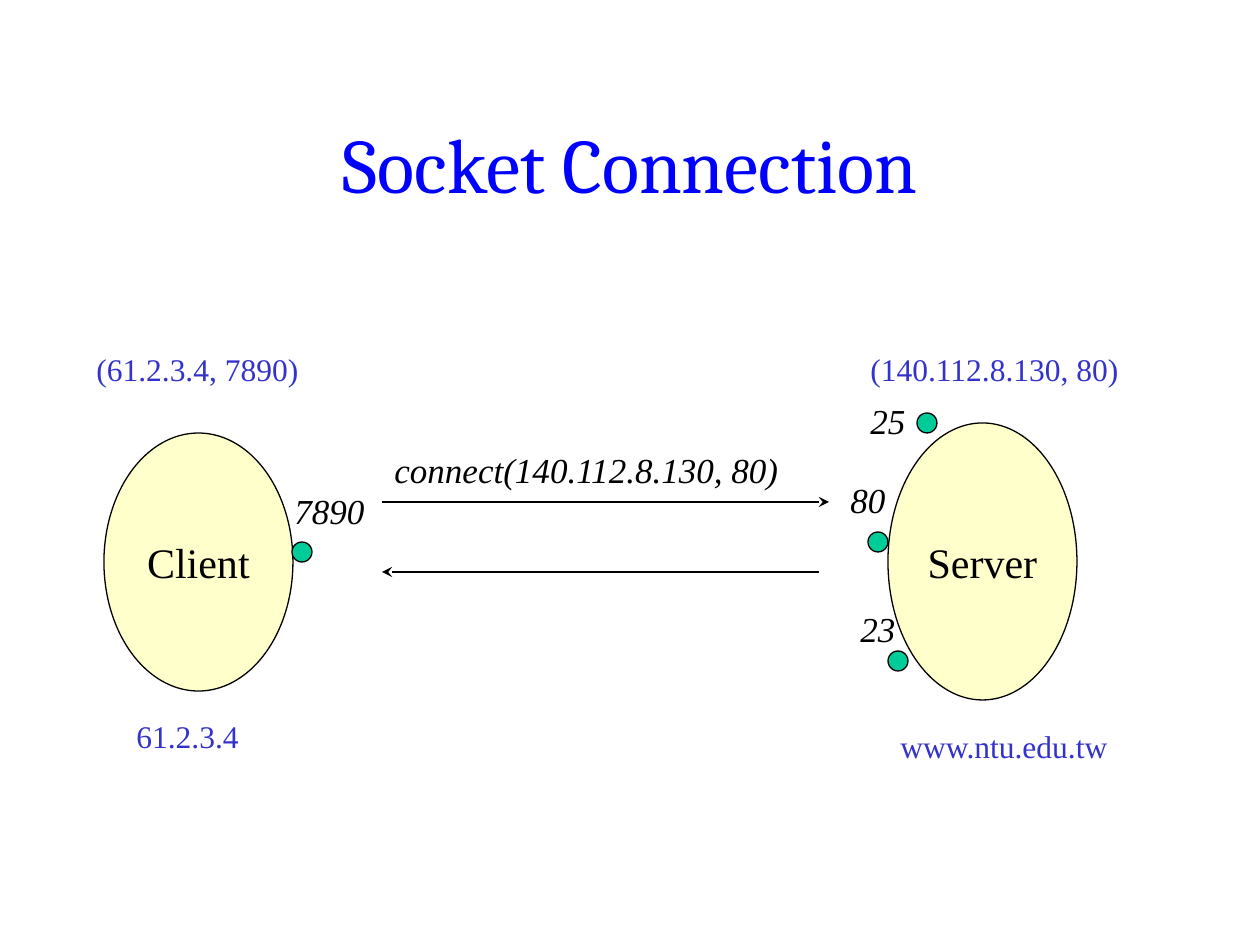
from lxml import etree
from pptx import Presentation
from pptx.dml.color import RGBColor
from pptx.enum.shapes import MSO_CONNECTOR, MSO_SHAPE
from pptx.enum.text import MSO_ANCHOR, PP_ALIGN
from pptx.oxml.ns import qn
from pptx.util import Pt

OVAL = MSO_SHAPE.OVAL
STRAIGHT = MSO_CONNECTOR.STRAIGHT
MIDDLE = MSO_ANCHOR.MIDDLE
TOP = MSO_ANCHOR.TOP
CENTER = PP_ALIGN.CENTER
LEFT = PP_ALIGN.LEFT

BLACK = RGBColor(0, 0, 0)
TITLE_BLUE = RGBColor(0, 0, 255)
ADDRESS_BLUE = RGBColor(0x33, 0x33, 0xCC)
CREAM = RGBColor(0xFF, 0xFF, 0xCC)
GREEN = RGBColor(0, 0xCC, 0x99)

PX = 914400 // 126
BODY_FONT = "Times New Roman"
DOT_SIZE = 20
HOST_WIDTH = 189

TITLE = ("Socket Connection", 95, 84, 1071, 158)
HOSTS = [("Client", 104, 433, 258), ("Server", 888, 423, 277)]
PORT_DOTS = [(292, 542), (868, 532), (888, 651), (917, 413)]
ARROWS = [(382, 829, 502), (819, 382, 572)]
ADDRESSES = [
    ("(61.2.3.4, 7890)", 84, 344, 248),
    ("61.2.3.4", 124, 711, 169),
    ("(140.112.8.130, 80)", 858, 344, 307),
    ("www.ntu.edu.tw", 888, 721, 258),
]
CALLS_AND_PORTS = [
    ("connect(140.112.8.130, 80)", 382, 442, 437),
    ("7890", 282, 483, 100),
    ("80", 838, 472, 79),
    ("23", 848, 601, 79),
    ("25", 858, 393, 79),
]


def px(*lengths):
    return [length * PX for length in lengths]


def write(shape, text, size, color, name=BODY_FONT, italic=False,
          align=LEFT, anchor=TOP, wrap=True):
    frame = shape.text_frame
    frame.word_wrap = wrap
    frame.vertical_anchor = anchor
    para = frame.paragraphs[0]
    para.text = text
    para.alignment = align
    font = para.font
    font.name, font.size, font.italic = name, Pt(size), italic
    font.color.rgb = color


def add_oval(page, left, top, width, height, color):
    oval = page.shapes.add_shape(OVAL, *px(left, top, width, height))
    oval.shadow.inherit = False
    oval.fill.solid()
    oval.fill.fore_color.rgb = color
    oval.line.color.rgb = BLACK
    oval.line.width = Pt(0.75)
    return oval


def add_arrow(page, start, end, y):
    arrow = page.shapes.add_connector(STRAIGHT, *px(start, y, end, y))
    arrow.line.color.rgb = BLACK
    arrow.line.width = Pt(0.75)
    properties = arrow._element.spPr
    etree.SubElement(properties.find(qn("a:ln")), qn("a:tailEnd"), type="stealth")
    etree.SubElement(properties, qn("a:effectLst"))


def add_label(page, text, left, top, width, height, size, color, italic):
    box = page.shapes.add_textbox(*px(left, top, width, height))
    write(box, text, size, color, italic=italic)


def main():
    deck = Presentation()
    deck.slide_width, deck.slide_height = px(1260, 945)
    page = deck.slides.add_slide(deck.slide_layouts[5])

    text, *place = TITLE
    title = page.shapes.title
    title.left, title.top, title.width, title.height = px(*place)
    write(title, text, 44, TITLE_BLUE, name="Cambria", align=CENTER, anchor=MIDDLE)

    for text, left, top, height in HOSTS:
        host = add_oval(page, left, top, HOST_WIDTH, height, CREAM)
        write(host, text, 24, BLACK, align=CENTER, anchor=MIDDLE, wrap=False)
    for left, top in PORT_DOTS:
        add_oval(page, left, top, DOT_SIZE, DOT_SIZE, GREEN)
    for start, end, y in ARROWS:
        add_arrow(page, start, end, y)
    for text, left, top, width in ADDRESSES:
        add_label(page, text, left, top, width, 50, 18, ADDRESS_BLUE, False)
    for text, left, top, width in CALLS_AND_PORTS:
        add_label(page, text, left, top, width, 54, 20, BLACK, True)

    deck.save("out.pptx")


if __name__ == "__main__":
    main()
